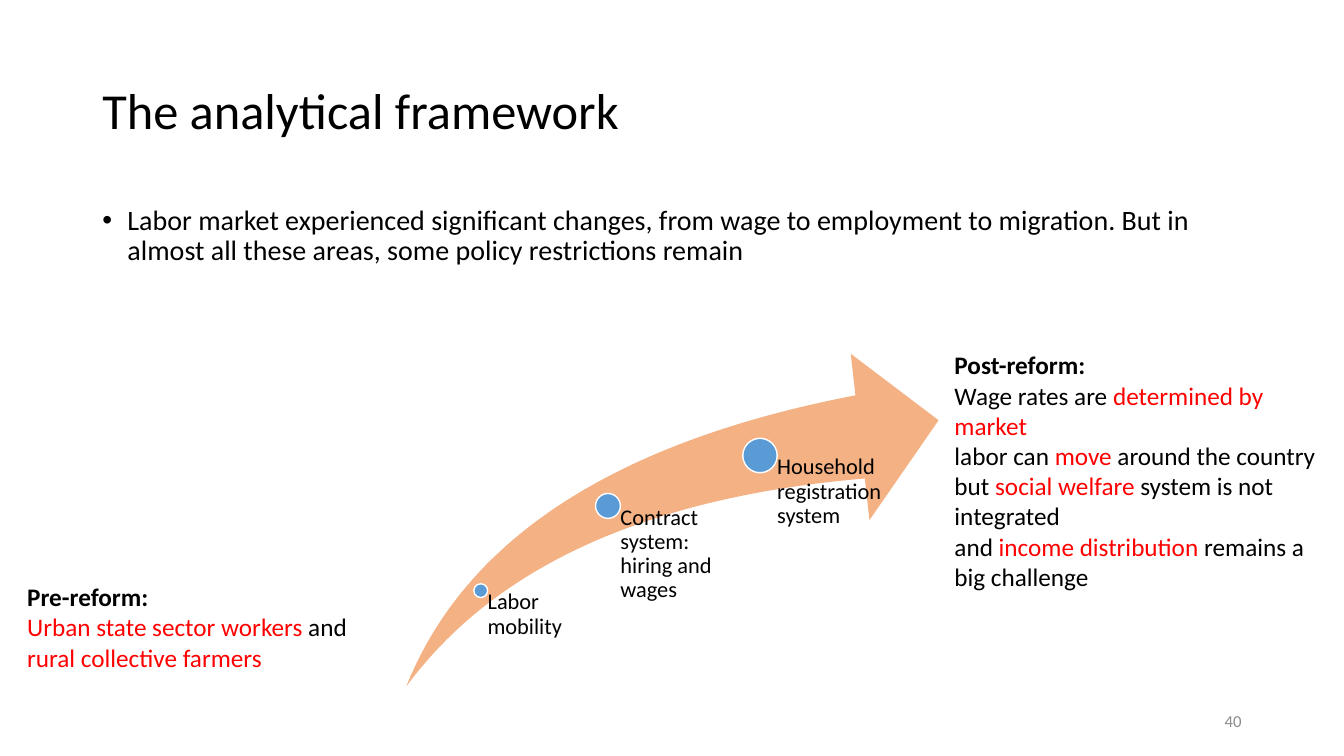
from pptx import Presentation
from pptx.dml.color import RGBColor as RGB
from pptx.enum.shapes import MSO_SHAPE as Shape
from pptx.enum.text import MSO_ANCHOR as Anchor, PP_ALIGN as Align
from pptx.oxml.ns import qn
from pptx.util import Pt
from lxml.etree import SubElement

COLORS = {"ink": "000000", "red": "FF0000", "gray": "8C8C8C",
          "swoosh": "F4B183", "dot": "5B9BD5", "white": "FFFFFF"}
FONT = "Calibri"
BASE = 490.3  # bottom edge shared by the arrow and its labels

# Centre x, centre y, dot size, label width, label
STEPS = [
    (343.4, 421.9, 9.9, 88.6, "Labor mobility"),
    (434.3, 361.4, 17.8, 91.4, "Contract system: hiring and wages"),
    (542.9, 325.4, 24.6, 91.4, "Household registration system"),
]

# Paragraphs of (text, color) runs
BEFORE = [
    [("Urban state sector workers", "red"), (" and ", "ink"),
     ("rural collective farmers", "red")],
]
AFTER = [
    [("Wage rates are ", "ink"), ("determined by market", "red")],
    [("labor can ", "ink"), ("move", "red"), (" around the country", "ink")],
    [("but ", "ink"), ("social welfare", "red"),
     (" system is not integrated", "ink")],
    [("and ", "ink"), ("income distribution ", "red"),
     ("remains a big challenge", "ink")],
]


def rgb(name):
    return RGB.from_string(COLORS[name])


def style(run, size, color="ink", bold=False):
    font = run.font
    font.name, font.size, font.bold = FONT, Pt(size), bold
    font.color.rgb = rgb(color)


def add_box(slide, box, insets=(7.2, 3.6, 7.2, 3.6), anchor=Anchor.TOP):
    frame = slide.shapes.add_textbox(*map(Pt, box)).text_frame
    frame.word_wrap = True
    frame.vertical_anchor = anchor
    (frame.margin_left, frame.margin_top,
     frame.margin_right, frame.margin_bottom) = map(Pt, insets)
    return frame


def add_text(slide, box, text, size, color="ink", spacing=0.9, **options):
    frame = add_box(slide, box, **options)
    frame.text = text
    para = frame.paragraphs[0]
    para.line_spacing = spacing
    style(para.runs[0], size, color)
    return para


def add_bullet(para, indent):
    props = para._p.get_or_add_pPr()
    props.set("marL", str(Pt(indent)))
    props.set("indent", str(-Pt(indent)))
    SubElement(props, qn("a:buFont")).set("typeface", "Arial")
    SubElement(props, qn("a:buChar")).set("char", "•")


def add_panel(slide, box, head, lines):
    frame = add_box(slide, box, insets=(3.6,) * 4)
    frame.text = head
    style(frame.paragraphs[0].runs[0], 18, bold=True)
    for line in lines:
        para = frame.add_paragraph()
        for text, color in line:
            run = para.add_run()
            run.text = text
            style(run, 18, color)


def add_form(slide, kind, box, fill, line=None):
    form = slide.shapes.add_shape(kind, *map(Pt, box))
    form.shadow.inherit = False
    form.fill.solid()
    form.fill.fore_color.rgb = rgb(fill)
    if line:
        form.line.color.rgb = rgb(line)
        form.line.width = Pt(1)
    else:
        form.line.fill.background()
    return form


def add_step(slide, x, y, size, width, label):
    half = size / 2
    add_form(slide, Shape.OVAL, (x - half, y - half, size, size),
             "dot", "white")
    add_text(slide, (x, y, width, BASE - y), label, 16,
             insets=(half, 0, 0, 0))


def main():
    deck = Presentation()
    deck.slide_width, deck.slide_height = Pt(960), Pt(540)
    slide = deck.slides.add_slide(deck.slide_layouts[6])

    # Title and lead statement
    add_text(slide, (66, 28.8, 828, 104.4), "The analytical framework", 36,
             anchor=Anchor.MIDDLE)
    lead = add_text(
        slide, (66, 144, 828, 342.7),
        "Labor market experienced significant changes, from wage to "
        "employment to migration. But in almost all these areas, some "
        "policy restrictions remain", 20)
    lead.space_before = Pt(10)
    add_bullet(lead, 18)

    # Reform path
    arrow = add_form(slide, Shape.SWOOSH_ARROW,
                     (290.2, 252.7, 380.2, BASE - 252.7), "swoosh")
    arrow.adjustments[0] = arrow.adjustments[1] = 0.25
    for step in STEPS:
        add_step(slide, *step)

    # Situation before and after
    add_panel(slide, (15.8, 411.8, 265, 72.7), "Pre-reform:", BEFORE)
    add_panel(slide, (678.2, 246.2, 265, 203.8), "Post-reform:", AFTER)

    # Page number
    page = add_text(slide, (678, 500.5, 216, 28.8), "40", 12, "gray",
                    spacing=1.0, anchor=Anchor.MIDDLE)
    page.alignment = Align.RIGHT

    deck.save("out.pptx")


if __name__ == "__main__":
    main()
